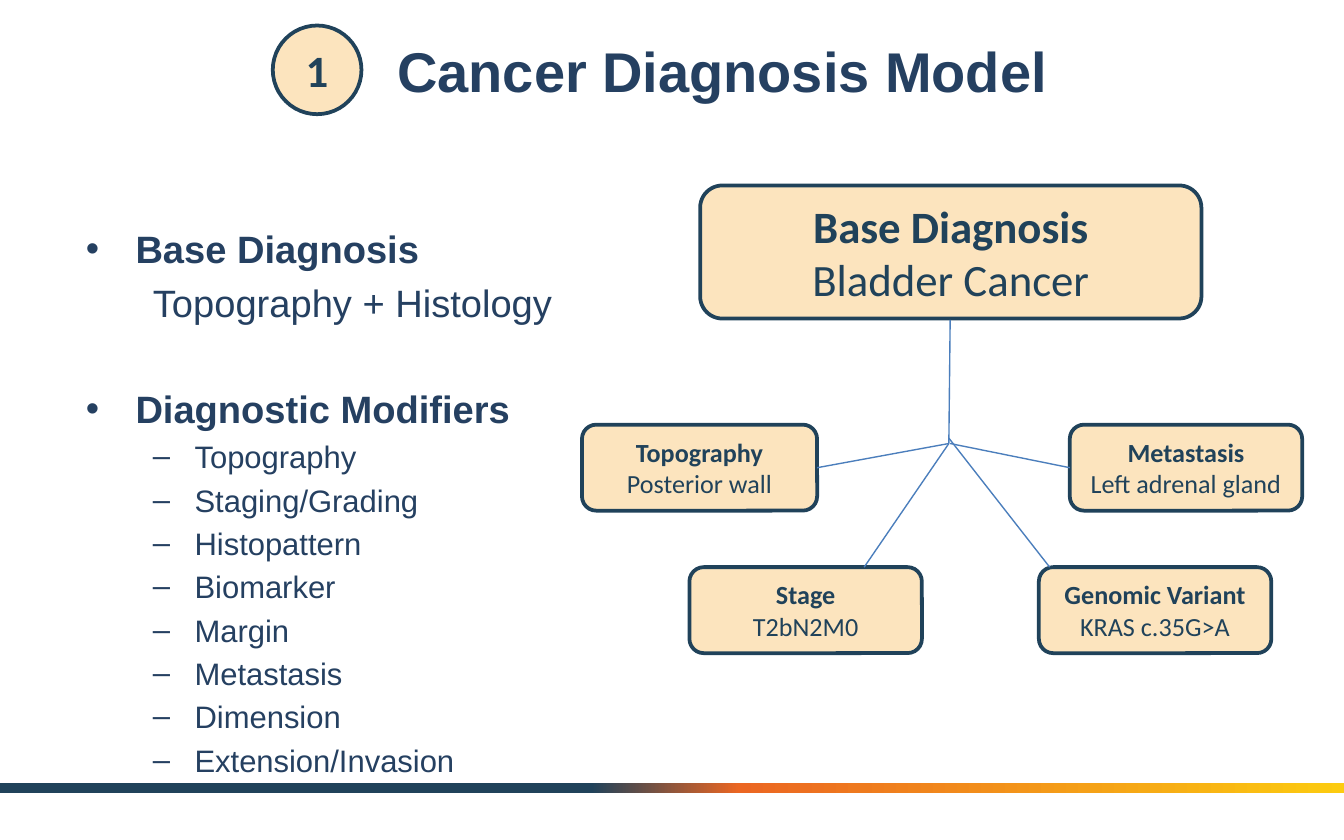
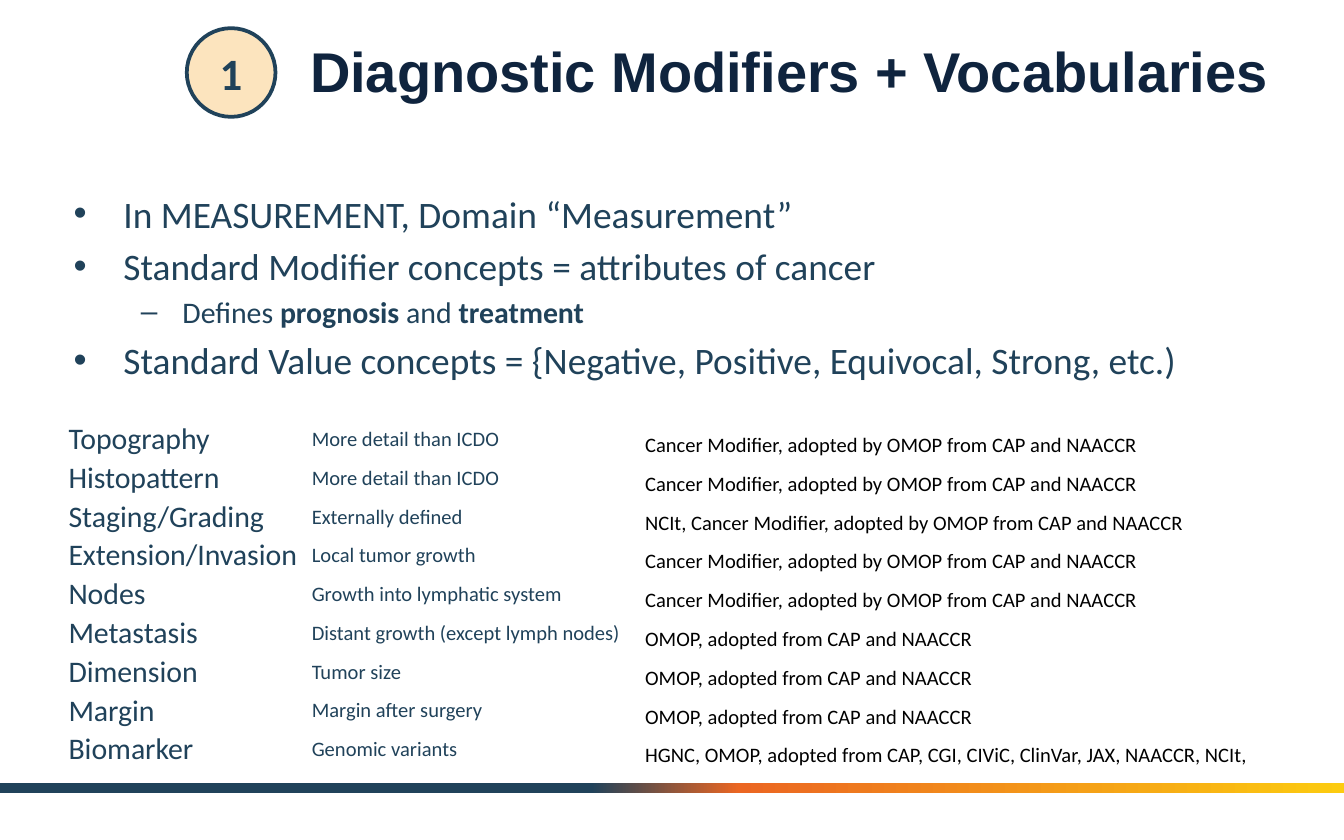
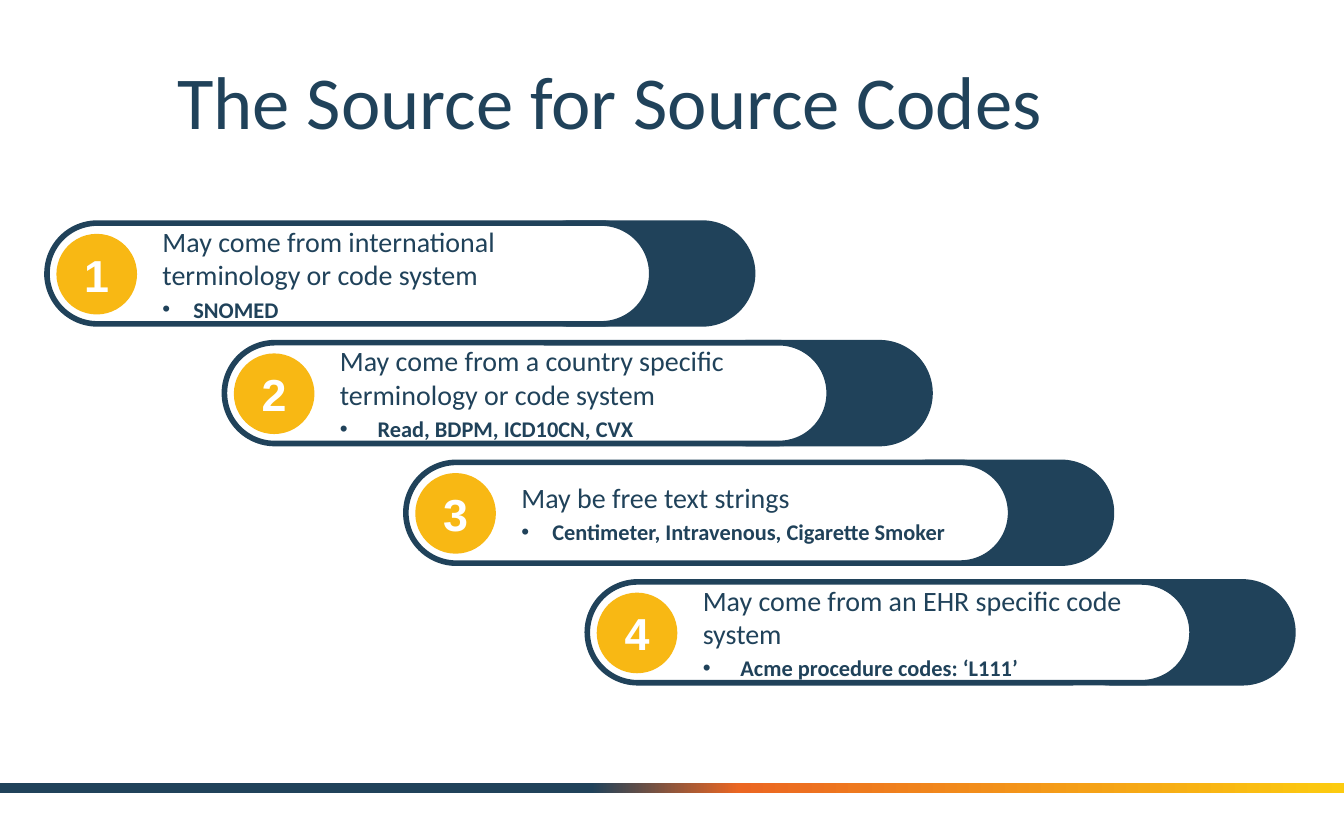
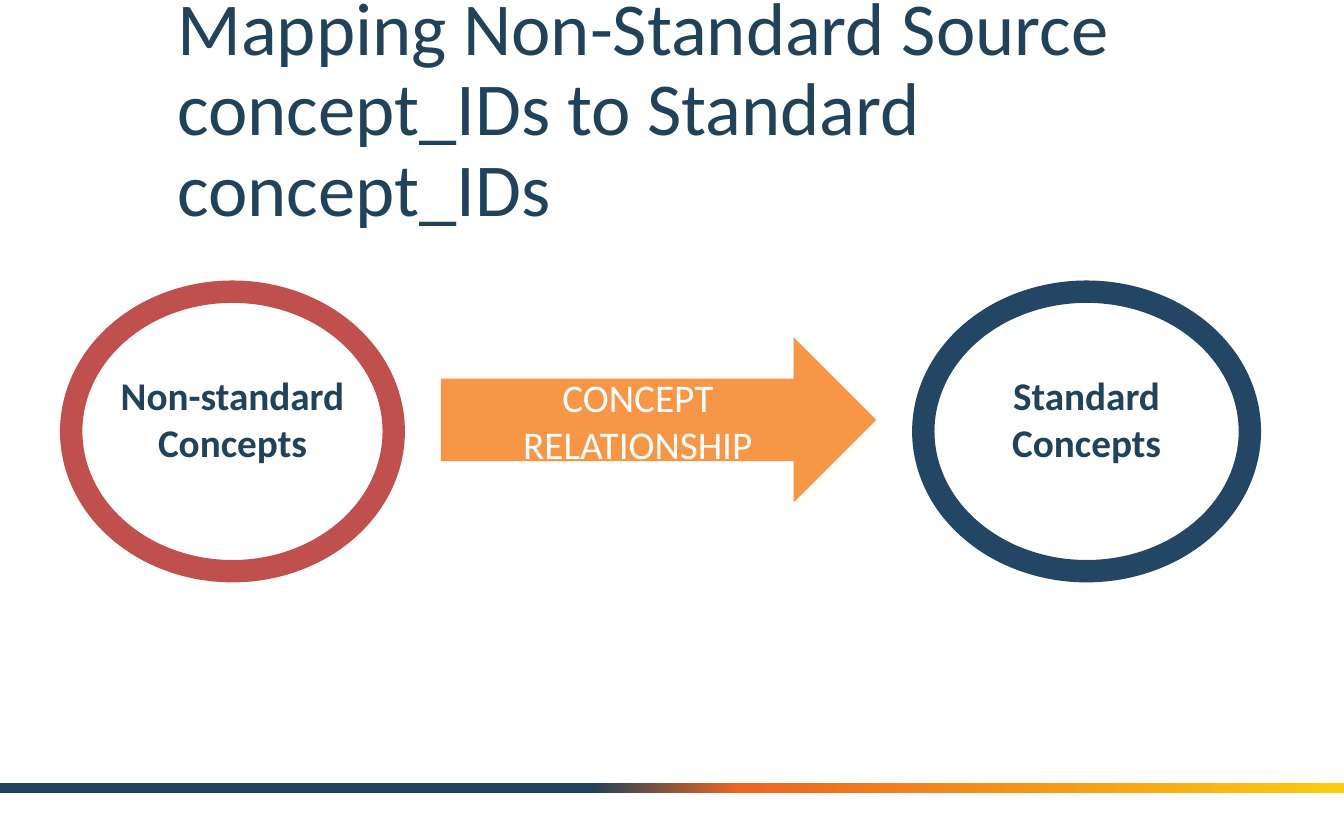
from lxml import etree
from pptx import Presentation
from pptx.dml.color import RGBColor
from pptx.enum.shapes import MSO_CONNECTOR, MSO_SHAPE
from pptx.enum.text import MSO_ANCHOR, MSO_AUTO_SIZE, PP_ALIGN
from pptx.oxml import parse_xml
from pptx.oxml.ns import nsdecls, qn
from pptx.util import Inches, Pt

LEFT, CENTER = PP_ALIGN.LEFT, PP_ALIGN.CENTER
TOP, MIDDLE, BOTTOM = MSO_ANCHOR.TOP, MSO_ANCHOR.MIDDLE, MSO_ANCHOR.BOTTOM
RECT, ROUNDED = MSO_SHAPE.RECTANGLE, MSO_SHAPE.ROUNDED_RECTANGLE
OVAL, ARROW = MSO_SHAPE.OVAL, MSO_SHAPE.RIGHT_ARROW
STRAIGHT = MSO_CONNECTOR.STRAIGHT

NAVY = RGBColor(0x20, 0x42, 0x5A)
TITLE_BLUE = RGBColor(0x25, 0x40, 0x61)
TITLE_DARK = RGBColor(0x0F, 0x24, 0x3E)
RING_BLUE = RGBColor(0x22, 0x46, 0x63)
LINK_BLUE = RGBColor(0x4B, 0x7E, 0xBC)
AMBER = RGBColor(0xF5, 0xA1, 0x18)
GOLD = RGBColor(0xF8, 0xB8, 0x14)
ORANGE = RGBColor(0xF7, 0x96, 0x46)
BAND_ORANGE = RGBColor(0xEB, 0x66, 0x22)
BAND_YELLOW = RGBColor(0xFC, 0xCB, 0x10)
RED = RGBColor(0xC0, 0x50, 0x4D)
WHITE = RGBColor(0xFF, 0xFF, 0xFF)
BLACK = RGBColor(0, 0, 0)

BAND_STOPS = [(44, NAVY), (55, BAND_ORANGE), (100, BAND_YELLOW)]
DEFAULT_INSETS = (0.1, 0.05, 0.1, 0.05)
SMALL_INSETS = (0.07, 0.04, 0.07, 0.04)

MODIFIERS = ["Topography", "Staging/Grading", "Histopattern", "Biomarker",
             "Margin", "Metastasis", "Dimension", "Extension/Invasion"]

DIAGNOSIS_NODES = [
    ((5.21, 1.38, 3.73, 0.99), "Base Diagnosis", "Bladder Cancer", 24),
    ((4.33, 3.16, 1.75, 0.64), "Topography", "Posterior wall", 14),
    ((5.13, 4.22, 1.73, 0.64), "Stage", "T2bN2M0", 14),
    ((7.96, 3.16, 1.73, 0.64), "Metastasis", "Left adrenal gland", 14),
    ((7.73, 4.22, 1.73, 0.64), "Genomic Variant", "KRAS c.35G>A", 14),
]
DIAGNOSIS_LINKS = [
    ((7.07, 2.38), (7.06, 3.3)),
    ((7.06, 3.3), (6.08, 3.48)),
    ((7.07, 3.3), (7.96, 3.48)),
    ((7.06, 3.26), (7.81, 4.22)),
    ((7.06, 3.3), (6.43, 4.22)),
]

CANCER_MODIFIER = "Cancer Modifier, adopted by OMOP from CAP and NAACCR"
OMOP = "OMOP, adopted from CAP and NAACCR"
VOCABULARIES = [
    ("Topography", "More detail than ICDO", CANCER_MODIFIER),
    ("Histopattern", "More detail than ICDO", CANCER_MODIFIER),
    ("Staging/Grading", "Externally defined", "NCIt, " + CANCER_MODIFIER),
    ("Extension/Invasion", "Local tumor growth", CANCER_MODIFIER),
    ("Nodes", "Growth into lymphatic system", CANCER_MODIFIER),
    ("Metastasis", "Distant growth (except lymph nodes)", OMOP),
    ("Dimension", "Tumor size", OMOP),
    ("Margin", "Margin after surgery", OMOP),
    ("Biomarker", "Genomic variants",
     "HGNC, OMOP, adopted from CAP, CGI, CIViC, ClinVar, JAX, NAACCR, NCIt,"),
]
COLUMNS = [  # width, size, colour, anchor
    (1.81, 16, NAVY, MIDDLE),
    (2.48, 11, NAVY, MIDDLE),
    (4.71, 11, BLACK, BOTTOM),
]

SOURCES = [  # left, text, example, bullet indent
    (0.35, "May come from international terminology or code system",
     "SNOMED", 0.23),
    (1.67, "May come from a country specific terminology or code system",
     "Read, BDPM, ICD10CN, CVX", 0.28),
    (3.02, "May be free text strings",
     "Centimeter, Intravenous, Cigarette Smoker", 0.23),
    (4.37, "May come from an EHR specific code system",
     "Acme procedure codes: ‘L111’", 0.28),
]


def inches(values):
    return [Inches(v) for v in values]


def frame(tf, insets=DEFAULT_INSETS, anchor=MIDDLE):
    tf.word_wrap = True
    tf.auto_size = MSO_AUTO_SIZE.NONE
    tf.vertical_anchor = anchor
    (tf.margin_left, tf.margin_top,
     tf.margin_right, tf.margin_bottom) = inches(insets)
    return tf


def write(tf, text, size=14, color=NAVY, font="Calibri", bold=False,
          align=LEFT, before=0, line=None, bullet=None, indent=0, hanging=0):
    """Add a paragraph; text is a string or a list of (text, bold) runs."""
    p = tf.paragraphs[0]
    if p.runs:
        p = tf.add_paragraph()
    pPr = p._p.get_or_add_pPr()
    pPr.set("marL", str(Inches(indent)))
    pPr.set("indent", str(-Inches(hanging)))
    if bullet:
        etree.SubElement(pPr, qn("a:buFont")).set("typeface", "Arial")
        etree.SubElement(pPr, qn("a:buChar")).set("char", bullet)
    else:
        etree.SubElement(pPr, qn("a:buNone"))
    p.alignment = align
    p.space_before = Pt(before)
    if line:
        p.line_spacing = line
    for part, heavy in [(text, bold)] if isinstance(text, str) else text:
        r = p.add_run()
        r.text = part
        r.font.size, r.font.name, r.font.bold = Pt(size), font, heavy
        r.font.color.rgb = color


def write_item(tf, text, level=0, bullet=True, **fmt):
    """Add an outline item of level 0 or 1."""
    indent, hanging, mark = [(0.37, 0.37, "•"), (0.81, 0.31, "–")][level]
    write(tf, text, indent=indent, hanging=hanging,
          bullet=mark if bullet else None, **fmt)


def add_shape(slide, kind, box, fill, line=None, weight=2, opacity=None):
    sp = slide.shapes.add_shape(kind, *inches(box))
    sp.shadow.inherit = False
    sp.fill.solid()
    sp.fill.fore_color.rgb = fill
    if opacity:
        clr = sp.element.spPr.find(".//" + qn("a:srgbClr"))
        etree.SubElement(clr, qn("a:alpha")).set("val", str(opacity * 1000))
    if line is None:
        sp.line.fill.background()
    else:
        sp.line.color.rgb = line
        sp.line.width = Pt(weight)
    return sp


def add_text_box(slide, box, insets=DEFAULT_INSETS):
    return frame(slide.shapes.add_textbox(*inches(box)).text_frame, insets, TOP)


def add_link(slide, start, end):
    cx = slide.shapes.add_connector(STRAIGHT, *inches(start + end))
    cx.line.color.rgb = LINK_BLUE
    cx.line.width = Pt(0.75)
    etree.SubElement(cx.element.spPr, qn("a:effectLst"))


def add_band(prs, layout):
    """Put the gradient band behind everything on the layout."""
    slide = prs.slides[0]
    sp = add_shape(slide, RECT, (0, 5.83, 10, 0.07), NAVY)
    stops = "".join(f'<a:gs pos="{pos * 1000}"><a:srgbClr val="{color}"/></a:gs>'
                    for pos, color in BAND_STOPS)
    solid = sp.element.spPr.find(qn("a:solidFill"))
    sp.element.spPr.replace(solid, parse_xml(
        f'<a:gradFill {nsdecls("a")}><a:gsLst>{stops}</a:gsLst>'
        '<a:lin ang="0" scaled="0"/></a:gradFill>'))
    sp.element.nvSpPr.cNvPr.set("id", "20")
    layout.shapes.element.insert(2, sp.element)


def add_title(slide, text, box, insets=DEFAULT_INSETS, **fmt):
    title = slide.shapes.title
    title.left, title.top, title.width, title.height = inches(box)
    write(frame(title.text_frame, insets), text, **fmt)


def add_model_title(slide, text, box, color):
    add_title(slide, text, box, size=30, font="Arial", bold=True,
              color=color, align=CENTER)


def add_plain_title(slide, text, box):
    add_title(slide, text, box, (0.07,) * 4, size=40, line=0.9)


def add_section_badge(slide, left, top):
    sp = add_shape(slide, OVAL, (left, top, 0.66, 0.66), AMBER, NAVY, opacity=28)
    write(frame(sp.text_frame), "1", size=24, bold=True, align=CENTER)


def add_node(slide, box, heading, detail, size):
    sp = add_shape(slide, ROUNDED, box, AMBER, NAVY, opacity=28)
    tf = frame(sp.text_frame)
    write(tf, heading, size=size, bold=True, align=CENTER)
    write(tf, detail, size=size, align=CENTER)


def add_vocabulary_table(slide, box):
    table = slide.shapes.add_table(len(VOCABULARIES), len(COLUMNS),
                                   *inches(box)).table
    table.first_row = table.horz_banding = False
    for col, (width, *_) in zip(table.columns, COLUMNS):
        col.width = Inches(width)
    for i, values in enumerate(VOCABULARIES):
        table.rows[i].height = Inches(box[3] / len(VOCABULARIES))
        for j, (_, size, color, anchor) in enumerate(COLUMNS):
            cell = table.cell(i, j)
            cell.fill.background()
            cell.vertical_anchor = anchor
            cell.margin_left = cell.margin_right = cell.margin_top = Inches(0.01)
            cell.margin_bottom = 0
            write(cell.text_frame, values[j], size=size, color=color)


def add_source_pill(slide, left, top, number, text, example, indent):
    cap = add_shape(slide, ROUNDED, (left + 3.52, top, 1.73, 0.75), NAVY, NAVY, 3)
    pill = add_shape(slide, ROUNDED, (left, top, 4.5, 0.75), WHITE, NAVY, 3)
    cap.adjustments[0] = pill.adjustments[0] = 0.5
    tf = frame(pill.text_frame, (0.75, 0, 0, 0))
    write(tf, text, size=15)
    write(tf, example, size=12, bold=True, before=2.2, bullet="•",
          indent=indent, hanging=indent)
    badge = add_shape(slide, OVAL, (left + 0.07, top + 0.08, 0.6, 0.6), GOLD)
    write(frame(badge.text_frame, SMALL_INSETS), str(number), size=24,
          font="Arial", color=WHITE, bold=True, align=CENTER)


def add_concept_ring(slide, box, color, label, label_width):
    left, top, width, _ = box
    add_shape(slide, OVAL, box, WHITE, color, 12)
    label_box = (left + (width - label_width) / 2, top + 0.55, label_width, 0.78)
    write(add_text_box(slide, label_box, SMALL_INSETS), label, size=21,
          bold=True, align=CENTER)


def build_diagnosis_model(slide):
    add_model_title(slide, "Cancer Diagnosis Model", (1.25, 0.14, 8.25, 0.76),
                    TITLE_BLUE)
    tf = add_text_box(slide, (0.54, 1.23, 4.04, 4.43), (0.1, 0.45, 0.1, 0.05))
    head = dict(size=20.4, font="Arial", color=TITLE_BLUE)
    write_item(tf, "Base Diagnosis", bold=True, **head)
    write_item(tf, "Topography + Histology", 1, bullet=False, before=4, **head)
    write_item(tf, "Diagnostic Modifiers", bold=True, before=32.8, **head)
    for modifier in MODIFIERS:
        write_item(tf, modifier, 1, size=16.6, font="Arial", color=TITLE_BLUE,
                   before=3.3)
    for node in DIAGNOSIS_NODES:
        add_node(slide, *node)
    for start, end in DIAGNOSIS_LINKS:
        add_link(slide, start, end)
    add_section_badge(slide, 2.03, 0.19)


def build_vocabularies(slide):
    add_model_title(slide, "Diagnostic Modifiers + Vocabularies",
                    (2.15, 0.14, 7.45, 0.76), TITLE_DARK)
    tf = add_text_box(slide, (0.45, 1.37, 9, 1.59))
    write_item(tf, "In MEASUREMENT, Domain “Measurement”", size=20)
    write_item(tf, "Standard Modifier concepts = attributes of cancer",
               size=20, before=4)
    write_item(tf, [("Defines ", False), ("prognosis ", True),
                    ("and ", False), ("treatment", True)],
               1, size=16, before=3.2)
    write_item(tf, "Standard Value concepts = {Negative, Positive, Equivocal, "
               "Strong, etc.)", size=20, before=4)
    add_section_badge(slide, 1.39, 0.21)
    add_vocabulary_table(slide, (0.5, 3.12, 9, 2.6))


def build_source_codes(slide):
    add_plain_title(slide, "The Source for Source Codes", (1.25, 0.44, 8.25, 0.69))
    for i, (left, text, example, indent) in enumerate(SOURCES):
        add_source_pill(slide, left, 1.66 + 0.89 * i, i + 1, text, example, indent)


def build_mapping(slide):
    add_plain_title(slide, "Mapping Non-Standard Source concept_IDs to Standard "
                    "concept_IDs", (1.25, 0.4, 8.25, 0.86))
    add_concept_ring(slide, (6.87, 2.17, 2.43, 2.08), RING_BLUE,
                     "Standard Concepts", 1.51)
    add_concept_ring(slide, (0.53, 2.17, 2.4, 2.08), RED,
                     "Non-standard Concepts", 1.88)
    arrow = add_shape(slide, ARROW, (3.28, 2.51, 3.24, 1.23), ORANGE)
    write(frame(arrow.text_frame, SMALL_INSETS), "CONCEPT RELATIONSHIP",
          size=21, color=WHITE, align=CENTER)


def main():
    prs = Presentation()
    prs.slide_width, prs.slide_height = Inches(10), Inches(6.25)
    layout = prs.slide_layouts.get_by_name("Title Only")
    for build in (build_diagnosis_model, build_vocabularies,
                  build_source_codes, build_mapping):
        build(prs.slides.add_slide(layout))
    add_band(prs, layout)
    prs.save("out.pptx")


if __name__ == "__main__":
    main()
